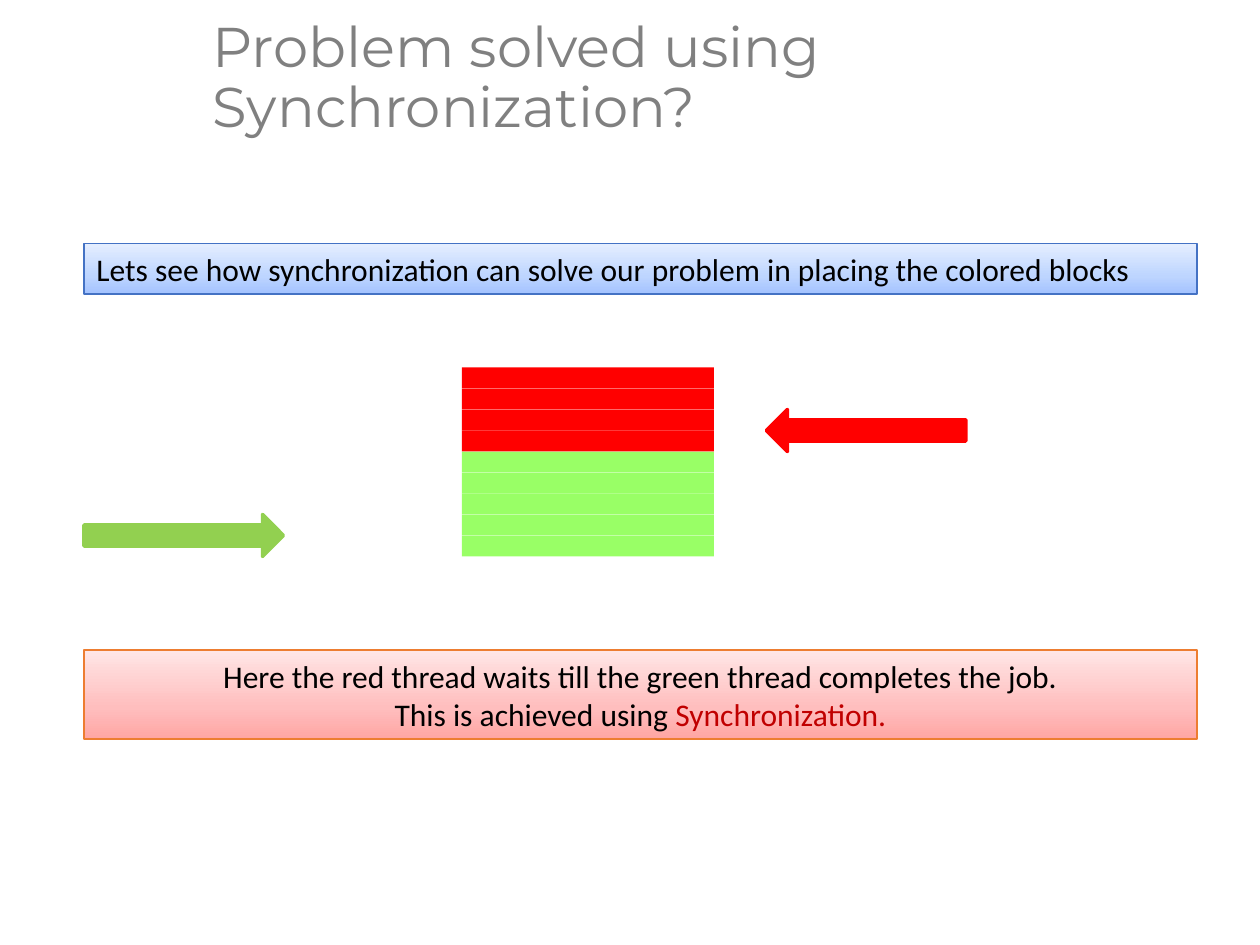
import lxml.etree
import pptx
import pptx.dml.color
import pptx.enum.shapes
import pptx.enum.text
import pptx.oxml.ns
import pptx.util

SHAPES = pptx.enum.shapes.MSO_SHAPE
ALIGN = pptx.enum.text.PP_ALIGN
UNIT = pptx.util.Inches(1) / 12
RED, LIME, GREEN = "FF0000", "99FF66", "92D050"


def color(value):
    """Turn a hex string into a colour."""
    return pptx.dml.color.RGBColor.from_string(value)


def grid(box):
    """Convert left, top, width and height from grid cells to lengths."""
    return [pptx.util.Emu(round(cells * UNIT)) for cells in box]


def add_solid(slide, kind, box, fill, line_width=0):
    """Add a plain shape in one colour, outlined if a line width is given."""
    shape = slide.shapes.add_shape(kind, *grid(box))
    shape.shadow.inherit = False
    shape.fill.solid()
    shape.fill.fore_color.rgb = color(fill)
    if line_width:
        shape.line.color.rgb = color(fill)
        shape.line.width = pptx.util.Pt(line_width)
    else:
        shape.line.fill.background()
    return shape


def add_run(paragraph, text, font, size, text_color):
    """Append one formatted run to a paragraph."""
    run = paragraph.add_run()
    run.text = text
    run.font.name = font
    run.font.size = pptx.util.Pt(size)
    run.font.color.rgb = color(text_color)


def add_title(slide, box, text):
    """Place the slide heading."""
    frame = slide.shapes.add_textbox(*grid(box)).text_frame
    frame.word_wrap = True
    frame.vertical_anchor = pptx.enum.text.MSO_ANCHOR.MIDDLE
    heading = frame.paragraphs[0]
    heading.line_spacing = 0.9
    add_run(heading, text, "Montserrat", 32, "808080")


def fill_gradient(shape, stops):
    """Fill a shape with an upward gradient of any number of stops."""
    qn = pptx.oxml.ns.qn
    shape.fill.gradient()
    shape.fill.gradient_angle = 90
    stop_list = shape.element.spPr.find(qn("a:gradFill")).find(qn("a:gsLst"))
    for old_stop in list(stop_list):
        stop_list.remove(old_stop)
    for percent, value in stops:
        stop = lxml.etree.SubElement(stop_list, qn("a:gs"), pos=str(percent * 1000))
        lxml.etree.SubElement(stop, qn("a:srgbClr"), val=value)


def add_banner(slide, box, shades, border, align, lines):
    """Place a gradient banner whose lines are lists of text and colour."""
    banner = add_solid(slide, SHAPES.RECTANGLE, box, border, 0.75)
    fill_gradient(banner, zip((0, 35, 100), shades))
    frame = banner.text_frame
    frame.word_wrap = True
    for index, line in enumerate(lines):
        paragraph = frame.add_paragraph() if index else frame.paragraphs[0]
        paragraph.alignment = align
        for text, text_color in line:
            add_run(paragraph, text, "Calibri", 18, text_color)


def add_stack(slide, box, colors):
    """Pile equal blocks from the bottom of the box upwards."""
    left, top, width, height = box
    block = height / len(colors)
    for level, fill in enumerate(colors, 1):
        place = (left, top + height - level * block, width, block)
        add_solid(slide, SHAPES.RECTANGLE, place, fill)


def add_thread_arrow(slide, box, fill, rotation=0):
    """Place the arrow of one thread."""
    arrow = add_solid(slide, SHAPES.LEFT_ARROW, box, fill, 2)
    arrow.rotation = rotation


def main():
    """Build the synchronization slide."""
    deck = pptx.Presentation()
    deck.slide_width = pptx.util.Inches(10)
    deck.slide_height = pptx.util.Inches(7.5)
    slide = deck.slides.add_slide(deck.slide_layouts[6])
    add_title(slide, (19.1, 0.1, 100.9, 14.9), "Problem solved using Synchronization?")
    add_thread_arrow(slide, (73, 39, 19, 4), RED)
    add_thread_arrow(slide, (8, 49, 19, 4), GREEN, 180)
    add_stack(slide, (44, 35, 24, 18), [LIME] * 5 + [RED] * 4)
    add_banner(
        slide, (8, 61.9, 106, 8.5), ("FFA5A3", "FFBEBE", "FFE6E6"), "ED7D31", ALIGN.CENTER,
        [
            [("Here the red thread waits till the green thread completes the job.", "000000")],
            [("This is achieved using ", "000000"), ("Synchronization.", "C00000")],
        ],
    )
    add_banner(
        slide, (8, 23.2, 106, 4.8), ("A3C2FF", "BDD5FF", "E5EEFF"), "4472C4", ALIGN.LEFT,
        [[("Lets see how synchronization can solve our problem in placing the colored blocks", "000000")]],
    )
    deck.save("out.pptx")


if __name__ == "__main__":
    main()
